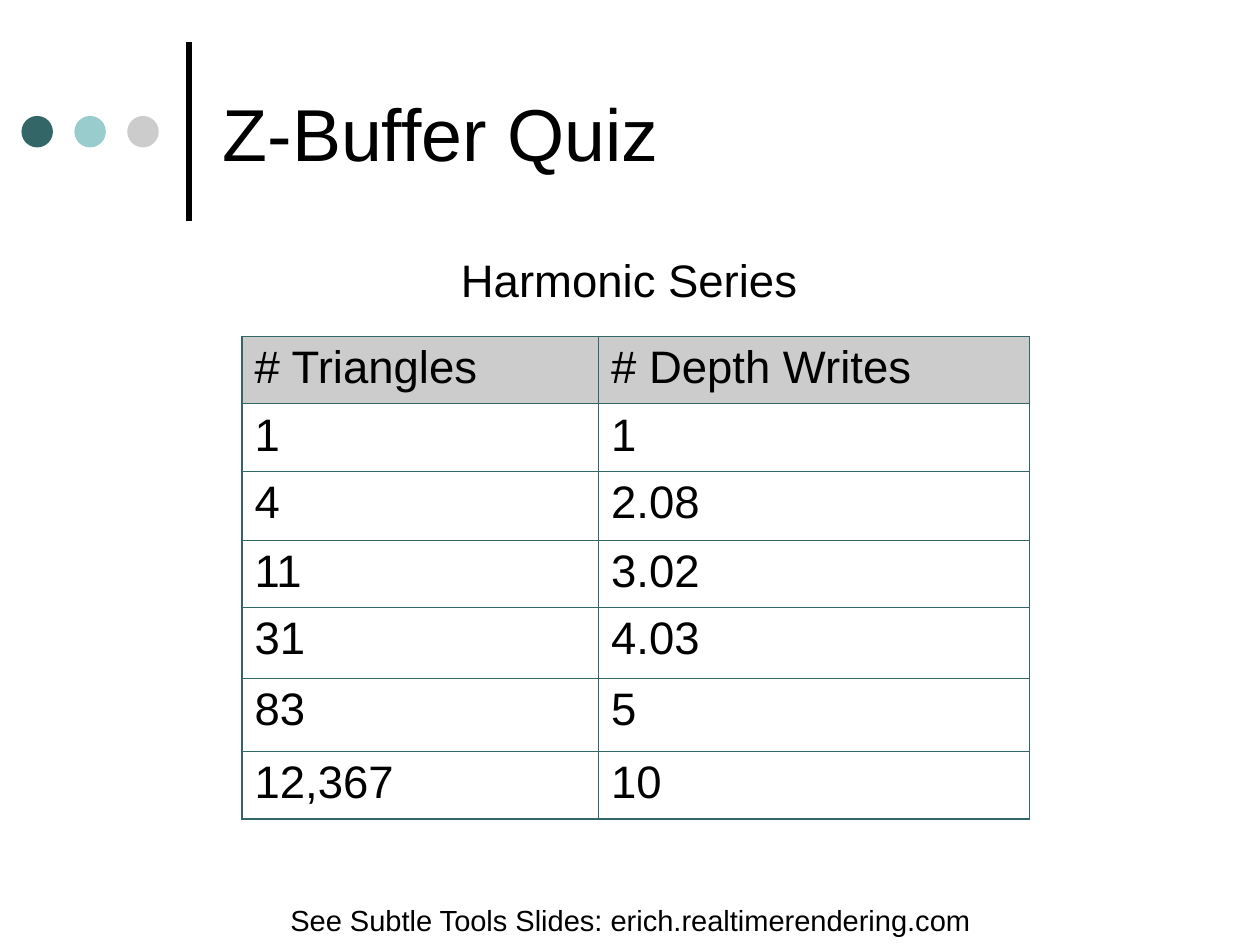
from lxml.etree import SubElement
from pptx import Presentation
from pptx.dml.color import RGBColor
from pptx.enum.shapes import MSO_CONNECTOR as CONNECTOR, MSO_SHAPE as SHAPE
from pptx.enum.text import MSO_ANCHOR as ANCHOR, PP_ALIGN as ALIGN
from pptx.oxml.ns import qn
from pptx.util import Inches, Pt

COLORS = {"text": "000000", "teal": "336666", "aqua": "99CCCC", "gray": "CCCCCC"}
FONT = "Arial"


def style_text(para, size):
    for span in para.runs:
        span.font.name = FONT
        span.font.size = Pt(size)
        span.font.bold = False
        span.font.color.rgb = RGBColor.from_string(COLORS["text"])


def add_text(left, top, width, height, text, size):
    box = page.shapes.add_textbox(Inches(left), Inches(top), Inches(width), Inches(height))
    box.text_frame.word_wrap = True
    box.text_frame.text = text
    style_text(box.text_frame.paragraphs[0], size)
    return box


deck = Presentation()
deck.slide_width, deck.slide_height = Inches(10), Inches(7.5)
page = deck.slides.add_slide(deck.slide_layouts[6])

# Vertical rule beside the title
rule = page.shapes.add_connector(
    CONNECTOR.STRAIGHT, Inches(1.5), Inches(1.75), Inches(1.5), Inches(0.33))
rule.line.width = Pt(3)
rule.line.color.rgb = RGBColor.from_string(COLORS["text"])
SubElement(rule._element.spPr, qn("a:effectLst"))

# Three dots
for index, name in enumerate(["teal", "aqua", "gray"]):
    dot = page.shapes.add_shape(
        SHAPE.OVAL, Inches(0.17 + 0.42 * index), Inches(0.92), Inches(0.25), Inches(0.25))
    dot.shadow.inherit = False
    dot.fill.solid()
    dot.fill.fore_color.rgb = RGBColor.from_string(COLORS[name])
    dot.line.fill.background()

# Title and table heading
title = add_text(1.67, 0.21, 7.67, 1.67, "Z-Buffer Quiz", 42)
title.text_frame.vertical_anchor = ANCHOR.MIDDLE
heading = add_text(1.83, 2, 6.33, 0.5, "Harmonic Series", 26)

# Table of triangles and depth writes
rows = [
    ("# Triangles", "# Depth Writes"),
    ("1", "1"),
    ("4", "2.08"),
    ("11", "3.02"),
    ("31", "4.03"),
    ("83", "5"),
    ("12,367", "10"),
]
row_heights = [0.53, 0.53, 0.55, 0.53, 0.56, 0.58, 0.54]
column_widths = [2.83, 3.42]
table = page.shapes.add_table(
    len(rows), len(column_widths), Inches(1.92), Inches(2.67),
    Inches(sum(column_widths)), Inches(sum(row_heights))).table
table.horz_banding = False
table.first_row = False
for column, width in zip(table.columns, column_widths):
    column.width = Inches(width)

last_row, last_column = len(rows) - 1, len(column_widths) - 1
for r, values in enumerate(rows):
    table.rows[r].height = Inches(row_heights[r])
    for c, value in enumerate(values):
        cell = table.cell(r, c)
        cell.text_frame.text = value
        style_text(cell.text_frame.paragraphs[0], 26)

        # Outer borders are heavier than inner ones
        outer_edges = {"lnL": c == 0, "lnR": c == last_column,
                       "lnT": r == 0, "lnB": r == last_row}
        cell_format = cell._tc.get_or_add_tcPr()
        for tag, is_outer in outer_edges.items():
            border = SubElement(cell_format, qn(f"a:{tag}"),
                                w=str(Pt(1.08 if is_outer else 0.45)))
            border_fill = SubElement(border, qn("a:solidFill"))
            SubElement(border_fill, qn("a:srgbClr"), val=COLORS["teal"])

        if r == 0:
            cell.fill.solid()
            cell.fill.fore_color.rgb = RGBColor.from_string(COLORS["gray"])
        else:
            cell.fill.background()

# Footer
footer = add_text(0, 7.17, 10, 0.33,
                  "See Subtle Tools Slides: erich.realtimerendering.com", 16.6)

for box, spacing in [(heading, 0.9), (footer, 0.8)]:
    para = box.text_frame.paragraphs[0]
    para.alignment = ALIGN.CENTER
    para.line_spacing = spacing

deck.save("out.pptx")
